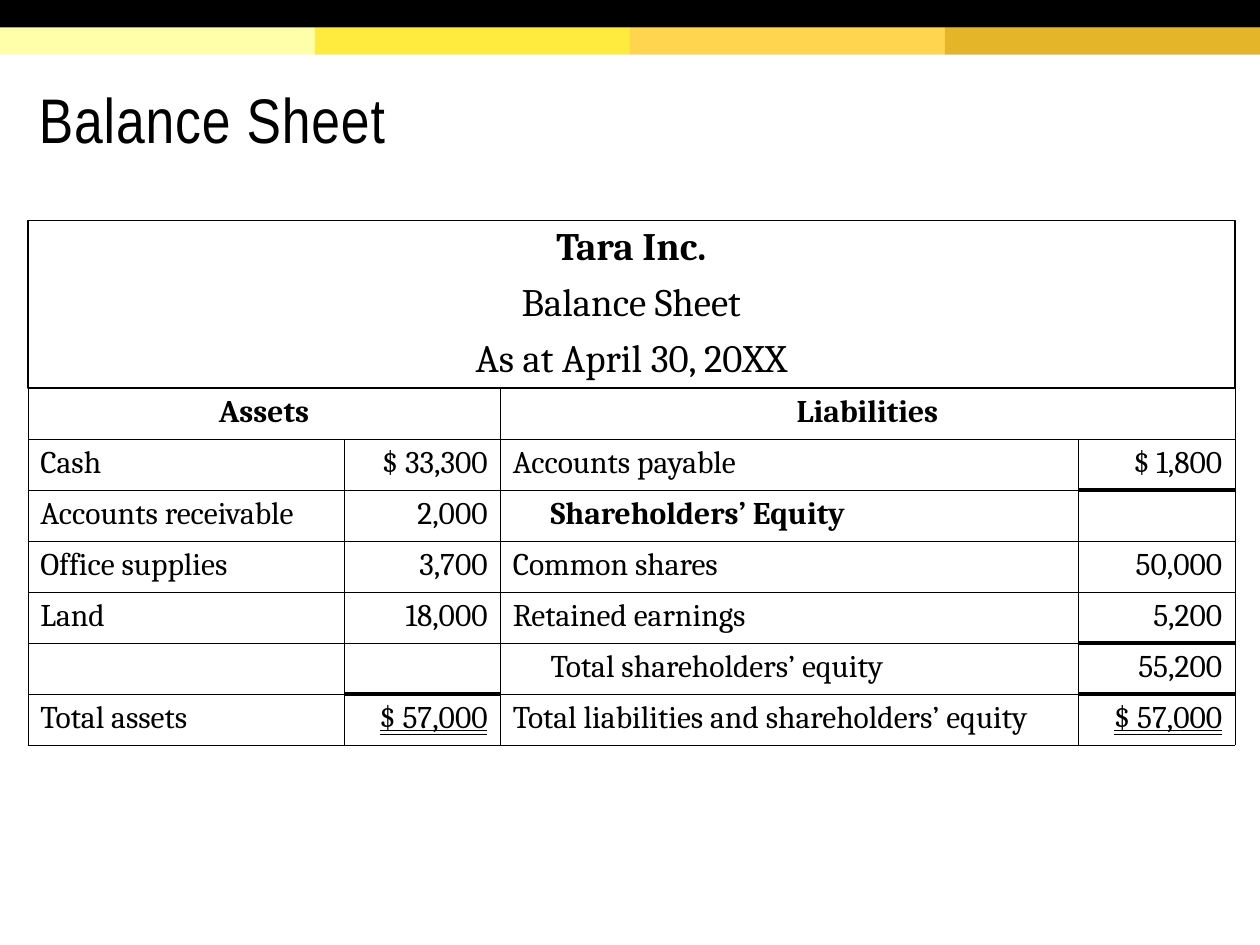
from dataclasses import dataclass

from lxml.etree import SubElement
from pptx import Presentation
from pptx.dml.color import RGBColor
from pptx.enum.shapes import MSO_SHAPE as Shape
from pptx.enum.text import MSO_ANCHOR as Anchor, MSO_UNDERLINE as Underline, PP_ALIGN as Align
from pptx.oxml.ns import qn
from pptx.util import Inches, Pt


@dataclass(frozen=True)
class Theme:
    ink: str = "000000"
    stripes: tuple = ("FFFFAA", "FFEA3D", "FFD54F", "E4B429")
    title_font: str = "Arial Narrow"
    body_font: str = "Cambria"
    title_size: float = 36
    heading_size: float = 22.2
    cell_size: float = 18
    thin: float = 0.25
    thick: float = 3


class SlideBuilder:
    def __init__(self, deck, theme):
        self.deck = deck
        self.theme = theme
        self.page = deck.slides.add_slide(deck.slide_layouts[6])

    def across(self, percent):
        return round(self.deck.slide_width * percent / 100)

    def down(self, percent):
        return round(self.deck.slide_height * percent / 100)

    def area(self, left, top, width, height):
        return self.across(left), self.down(top), self.across(width), self.down(height)

    def style(self, para, name, size, bold=False, align=Align.LEFT):
        para.alignment = align
        font = para.font
        font.name, font.size, font.bold = name, Pt(size), bold
        font.color.rgb = RGBColor.from_string(self.theme.ink)

    def bar(self, area, color):
        shape = self.page.shapes.add_shape(Shape.RECTANGLE, *self.area(*area))
        shape.shadow.inherit = False
        shape.fill.solid()
        shape.fill.fore_color.rgb = RGBColor.from_string(color)
        shape.line.fill.background()

    def title(self, area, text):
        box = self.page.shapes.add_textbox(*self.area(*area))
        frame = box.text_frame
        frame.word_wrap = True
        frame.vertical_anchor = Anchor.MIDDLE
        frame.margin_top = Inches(0.1)
        para = frame.paragraphs[0]
        para.line_spacing = 0.85
        self.style(para, self.theme.title_font, self.theme.title_size)
        span = para.add_run()
        span.text = text
        span._r.get_or_add_rPr().set("spc", "50")

    def heading(self, area, lines):
        box = self.page.shapes.add_textbox(*self.area(*area))
        box.line.color.rgb = RGBColor.from_string(self.theme.ink)
        box.line.width = Pt(1)
        frame = box.text_frame
        frame.word_wrap = True
        for index, line in enumerate(lines):
            para = frame.add_paragraph() if index else frame.paragraphs[0]
            para.text = line
            para.line_spacing = 0.9
            para.space_after = Pt(8)
            self.style(para, self.theme.body_font, self.theme.heading_size, index == 0, Align.CENTER)

    def borders(self, cell, thick_sides):
        props = cell._tc.get_or_add_tcPr()
        for side in "LRTB":
            width = self.theme.thick if side in thick_sides else self.theme.thin
            line = SubElement(props, qn(f"a:ln{side}"), w=str(Pt(width)))
            fill = SubElement(line, qn("a:solidFill"))
            SubElement(fill, qn("a:srgbClr"), val=self.theme.ink)

    def ledger(self, area, widths, rows, ruled, bold, indented, totals):
        frame = self.page.shapes.add_table(len(rows), len(widths), *self.area(*area))
        table = frame.table
        table.first_row = table.horz_banding = False
        for column, width in zip(table.columns, widths):
            column.width = self.across(width)
        for r, row in enumerate(rows):
            for c, text in enumerate(row):
                cell = table.cell(r, c)
                sides = ("T" if (r - 1, c) in ruled else "") + ("B" if (r, c) in ruled else "")
                self.borders(cell, sides)
                cell.fill.background()
                para = cell.text_frame.paragraphs[0]
                para.text = text
                if (r, c) in indented:
                    para._p.get_or_add_pPr().set("marL", str(Inches(0.3)))
                align = Align.CENTER if r == 0 else Align.RIGHT if c % 2 else Align.LEFT
                self.style(para, self.theme.body_font, self.theme.cell_size, (r, c) in bold, align)
                if (r, c) in totals:
                    para.font.underline = Underline.DOUBLE_LINE
        for c in range(0, len(widths), 2):
            table.cell(0, c).merge(table.cell(0, c + 1))


def main():
    deck = Presentation()
    deck.slide_width, deck.slide_height = Inches(10), Inches(7.5)
    theme = Theme()
    slide = SlideBuilder(deck, theme)

    band = 2.9
    stripe = 100 / len(theme.stripes)
    for index, color in enumerate(theme.stripes):
        slide.bar((index * stripe, band, stripe, band), color)
    slide.bar((0, 0, 100, band), theme.ink)

    slide.title((2.1, 6.27, 94.9, 13.07), "Balance Sheet")
    slide.heading((2.2, 23.33, 95.8, 17.73), ["Tara Inc.", "Balance Sheet", "As at April 30, 20XX"])
    rows = [
        ("Assets", "", "Liabilities", ""),
        ("Cash", "$ 33,300", "Accounts payable", "$ 1,800"),
        ("Accounts receivable", "2,000", "Shareholders’ Equity", ""),
        ("Office supplies", "3,700", "Common shares", "50,000"),
        ("Land", "18,000", "Retained earnings", "5,200"),
        ("", "", "Total shareholders’ equity", "55,200"),
        ("Total assets", "$ 57,000", "Total liabilities and shareholders’ equity", "$ 57,000"),
    ]
    slide.ledger(
        (2.2, 41.07, 95.8, 5.4 * len(rows)),
        (25.1, 12.4, 45.9, 12.4),
        rows,
        ruled={(1, 3), (4, 3), (5, 1), (5, 3)},
        bold={(0, 0), (0, 2), (2, 2)},
        indented={(2, 2), (5, 2)},
        totals={(6, 1), (6, 3)},
    )
    deck.save("out.pptx")


if __name__ == "__main__":
    main()
